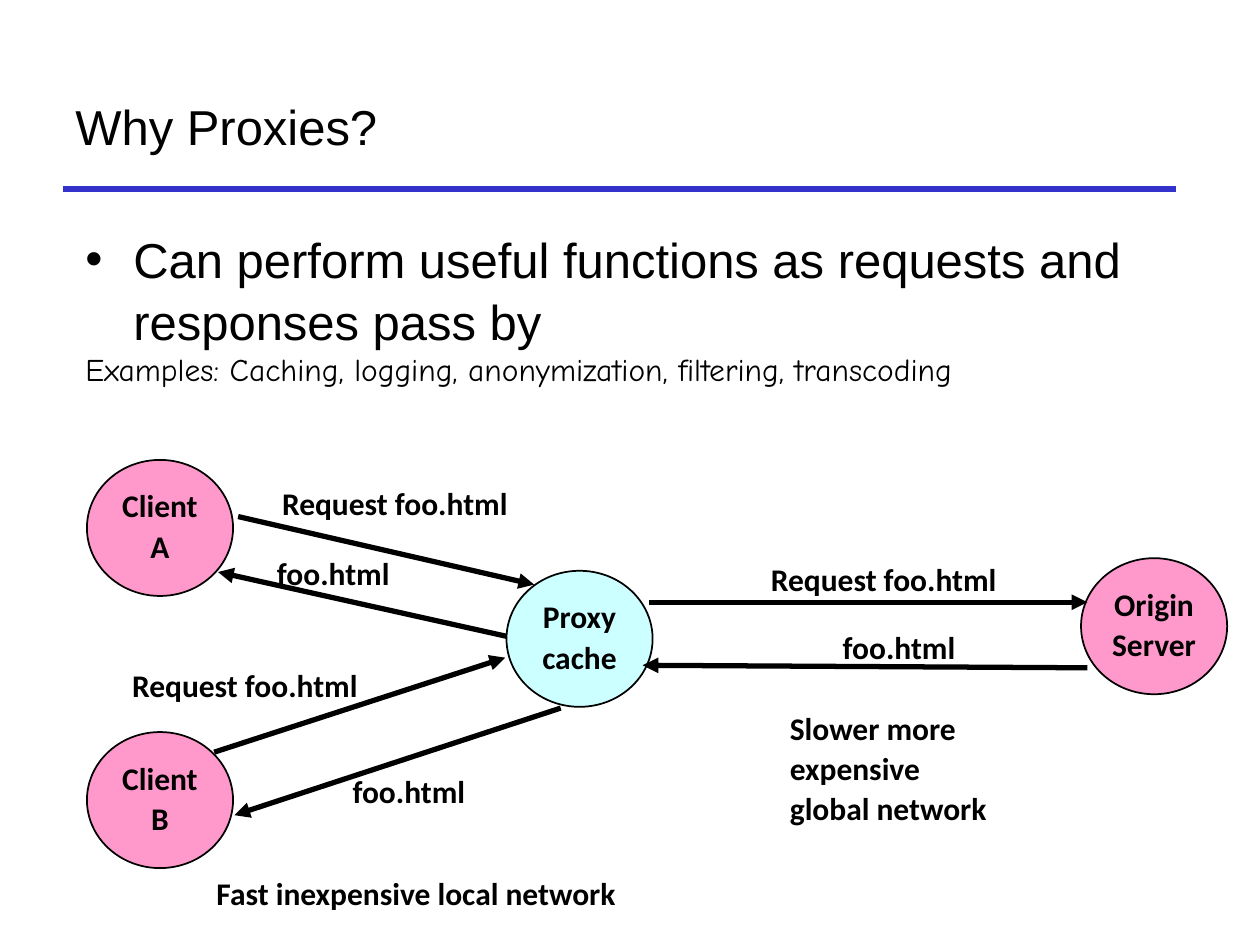
import pptx
import pptx.util
import pptx.dml.color
import pptx.enum.shapes
import pptx.enum.text
import pptx.oxml.ns
import lxml.etree

Inches = pptx.util.Inches
Pt = pptx.util.Pt
RGBColor = pptx.dml.color.RGBColor
ALIGN = pptx.enum.text.PP_ALIGN
ANCHOR = pptx.enum.text.MSO_ANCHOR
qn = pptx.oxml.ns.qn

BLACK = RGBColor(0x00, 0x00, 0x00)
RULE_BLUE = RGBColor(0x33, 0x33, 0xCC)
PINK = RGBColor(0xFF, 0x99, 0xCC)
CYAN = RGBColor(0xCC, 0xFF, 0xFF)

NODE_W, NODE_H = 1.16, 1.08
REQUEST, REPLY = "Request foo.html", "foo.html"

# label, left, top, fill
NODES = [
    ("Client\nA", 0.69, 3.65, PINK),
    ("Proxy\ncache", 4.02, 4.53, CYAN),
    ("Origin\nServer", 8.58, 4.43, PINK),
    ("Client\nB", 0.69, 5.81, PINK),
]
# label, arrow start, arrow end, label position
MESSAGES = [
    (REQUEST, (1.89, 4.1), (4.24, 4.64), (2.14, 3.83)),
    (REQUEST, (5.15, 4.78), (8.63, 4.78), (6.02, 4.43)),
    (REPLY, (8.63, 5.3), (5.1, 5.28), (6.59, 4.97)),
    (REPLY, (4.02, 5.05), (1.73, 4.54), (2.1, 4.38)),
    (REQUEST, (1.7, 5.97), (4.01, 5.22), (0.95, 5.27)),
    (REPLY, (4.45, 5.62), (1.86, 6.47), (2.7, 6.11)),
]


def write_text(tf, text, size=18, font="Calibri", bold=True, align=ALIGN.LEFT,
               anchor=ANCHOR.TOP, wrap=False, spacing=0.9, bullet_indent=0):
    """Fill a text frame, one paragraph per line; later paragraphs get 20% space before."""
    tf.word_wrap = wrap
    tf.vertical_anchor = anchor
    for i, line in enumerate(text.split("\n")):
        p = tf.paragraphs[0] if i == 0 else tf.add_paragraph()
        p.alignment = align
        p.line_spacing = spacing
        if i:
            p.space_before = Pt(size * 0.2)
        if bullet_indent:
            pPr = p._p.get_or_add_pPr()
            pPr.set("marL", str(Inches(bullet_indent)))
            pPr.set("indent", str(-Inches(bullet_indent)))
            lxml.etree.SubElement(pPr, qn("a:buFont"), typeface="Arial")
            lxml.etree.SubElement(pPr, qn("a:buChar"), char="•")
        add_run(p, line, size, font, bold)


def add_run(p, text, size, font, bold=False):
    r = p.add_run()
    r.text = text
    r.font.size = Pt(size)
    r.font.name = font
    r.font.bold = bold
    r.font.color.rgb = BLACK


def add_text(slide, text, left, top, width, height, **fmt):
    box = slide.shapes.add_textbox(Inches(left), Inches(top), Inches(width), Inches(height))
    write_text(box.text_frame, text, **fmt)
    return box.text_frame


def add_line(slide, start, end, color=BLACK, arrow=False):
    line = slide.shapes.add_connector(
        pptx.enum.shapes.MSO_CONNECTOR.STRAIGHT,
        *(Inches(v) for v in (*start, *end)))
    line.line.color.rgb = color
    line.line.width = Pt(3)
    if arrow:
        lxml.etree.SubElement(line.line._get_or_add_ln(), qn("a:tailEnd"), type="triangle")
    lxml.etree.SubElement(line._element.spPr, qn("a:effectLst"))


def add_node(slide, label, left, top, fill):
    sp = slide.shapes.add_shape(
        pptx.enum.shapes.MSO_SHAPE.OVAL,
        Inches(left), Inches(top), Inches(NODE_W), Inches(NODE_H))
    sp.shadow.inherit = False
    sp.fill.solid()
    sp.fill.fore_color.rgb = fill
    sp.line.color.rgb = BLACK
    sp.line.width = Pt(1)
    write_text(sp.text_frame, label, align=ALIGN.CENTER, anchor=ANCHOR.MIDDLE)


def add_header(slide, left, top, width, height):
    add_line(slide, (left, top + height), (left + width, top + height), RULE_BLUE)
    add_text(slide, "Why Proxies?", left, top, width, height, size=28, font="Arial",
             bold=False, anchor=ANCHOR.MIDDLE, wrap=True, spacing=1.0)


def add_body(slide, left, top, width, height):
    tf = add_text(slide, "Can perform useful functions as requests and responses pass by",
                  left, top, width, height, size=28, font="Arial", bold=False,
                  wrap=True, spacing=1.05, bullet_indent=0.38)
    add_run(tf.add_paragraph(), "Examples: Caching, logging, anonymization, filtering, transcoding",
            18, "Comic Neue")


def add_diagram(slide):
    for node in NODES:
        add_node(slide, *node)
    for label, start, end, (left, top) in MESSAGES:
        add_line(slide, start, end, arrow=True)
        add_text(slide, label, left, top, 2.1 if label == REQUEST else 1.16, 0.37)
    add_text(slide, "Fast inexpensive local network", 1.62, 6.92, 3.54, 0.37)
    add_text(slide, "Slower more\nexpensive\nglobal network", 6.17, 5.61, 1.85, 1.04, wrap=True)


def main():
    prs = pptx.Presentation()
    prs.slide_width, prs.slide_height = Inches(10), Inches(7.5)
    slide = prs.slides.add_slide(prs.slide_layouts[6])
    add_header(slide, 0.5, 0.5, 8.83, 1)
    add_body(slide, 0.58, 1.75, 9.09, 1.81)
    add_diagram(slide)
    prs.save("out.pptx")


if __name__ == "__main__":
    main()
